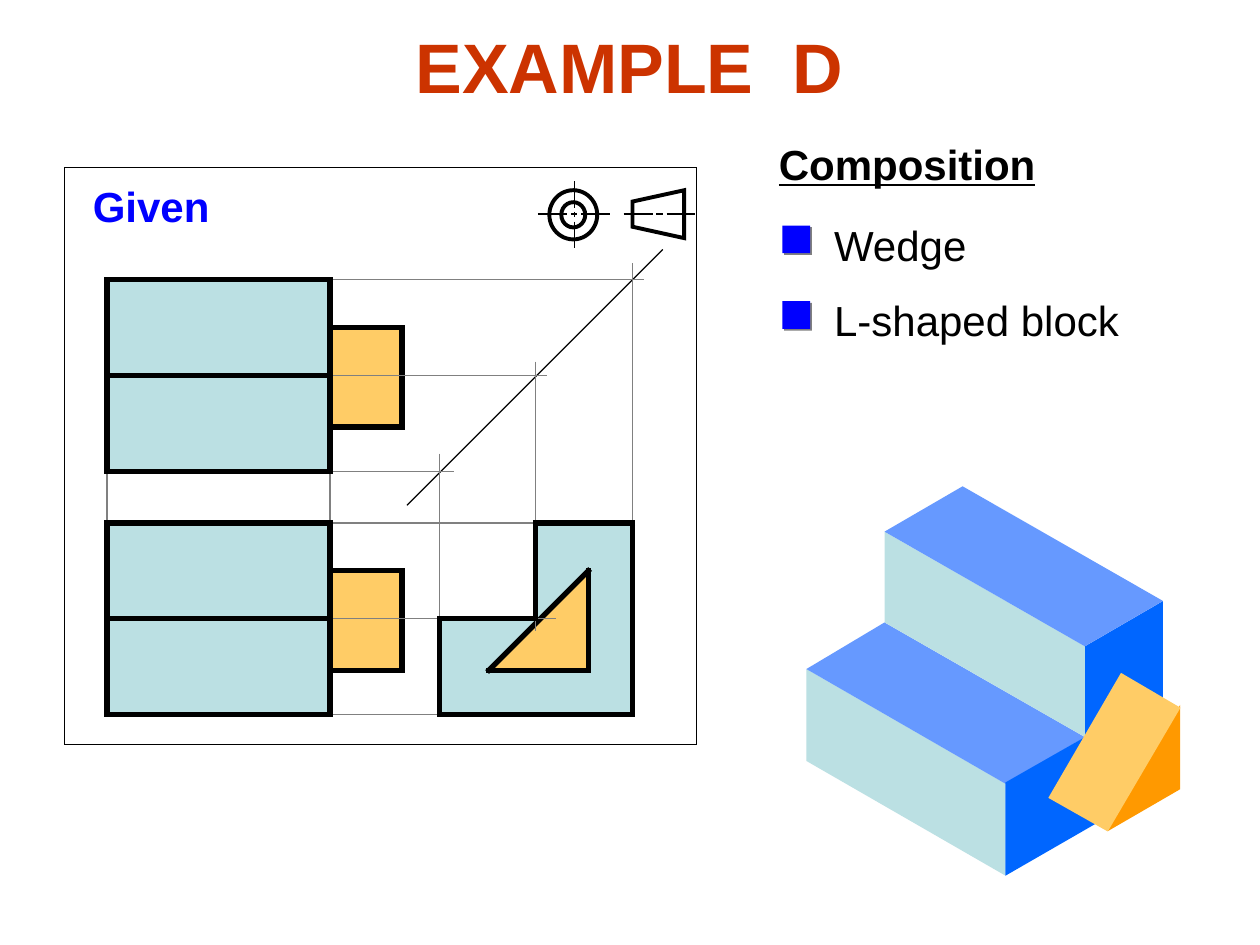
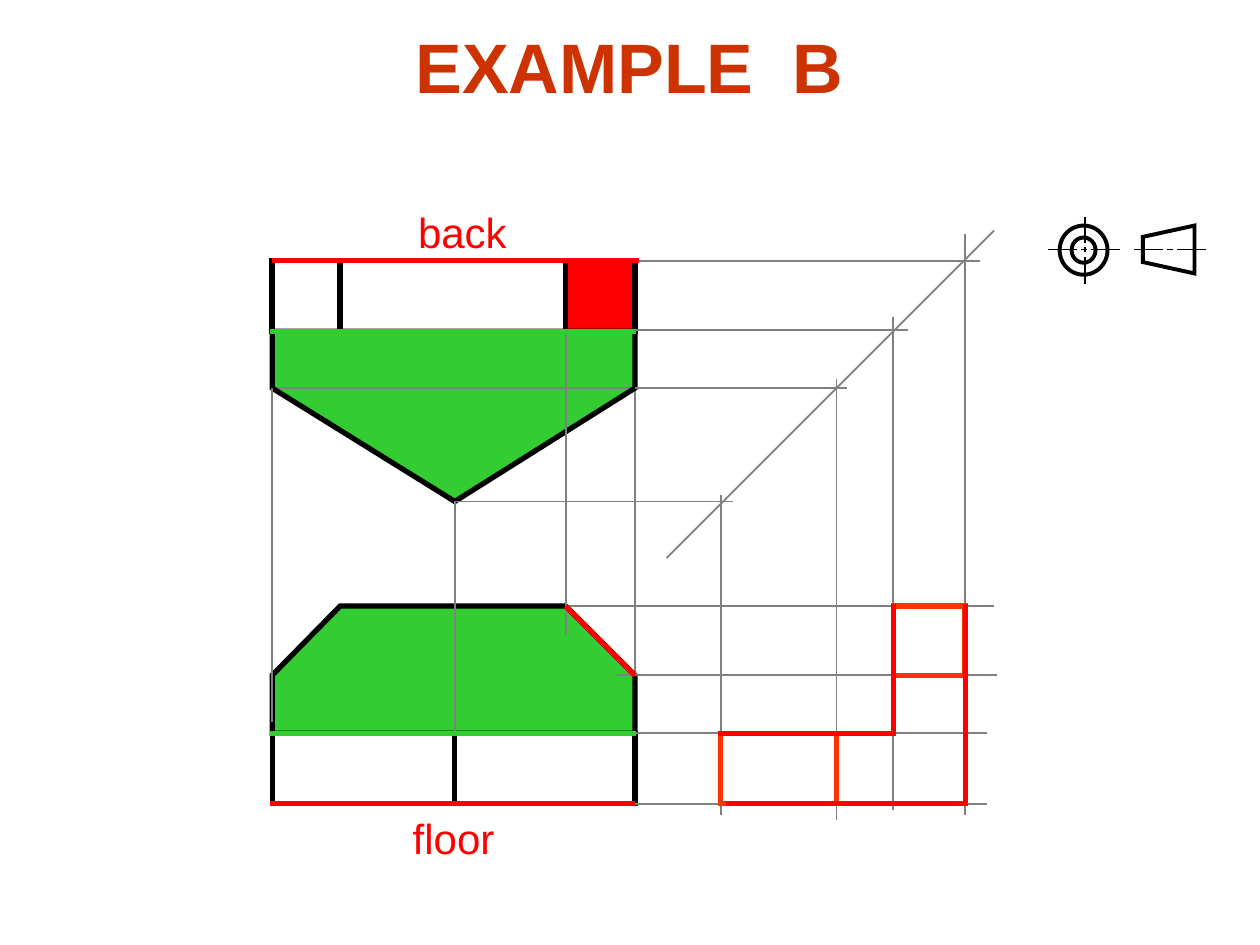
from itertools import pairwise
from math import hypot

from lxml.etree import SubElement
from pptx import Presentation
from pptx.dml.color import RGBColor
from pptx.enum.shapes import MSO_CONNECTOR, MSO_SHAPE
from pptx.enum.text import MSO_ANCHOR, PP_ALIGN
from pptx.oxml.ns import qn
from pptx.util import Inches, Pt

BLACK = RGBColor(0x00, 0x00, 0x00)
WHITE = RGBColor(0xFF, 0xFF, 0xFF)
GRAY = RGBColor(0x80, 0x80, 0x80)
RED = RGBColor(0xFF, 0x00, 0x00)
SCARLET = RGBColor(0xFF, 0x33, 0x00)
RUST = RGBColor(0xCC, 0x33, 0x00)
BLUE = RGBColor(0x00, 0x00, 0xFF)
GREEN = RGBColor(0x33, 0xCC, 0x33)
PALE_BLUE = RGBColor(0xBB, 0xE0, 0xE3)
MID_BLUE = RGBColor(0x66, 0x99, 0xFF)
DEEP_BLUE = RGBColor(0x00, 0x66, 0xFF)
SAND = RGBColor(0xFF, 0xCC, 0x66)
ORANGE = RGBColor(0xFF, 0x99, 0x00)

FONT = "Arial"
THICK, MEDIUM, THIN, HAIR = 3, 2.25, 1, 0.75


# Elements
def paint(shape, fill=None, line=None, width=THICK):
    """Give a shape a plain fill and a mitred outline, or none of either."""
    shape.shadow.inherit = False
    if fill is None:
        shape.fill.background()
    else:
        shape.fill.solid()
        shape.fill.fore_color.rgb = fill
    if line is None:
        shape.line.fill.background()
    else:
        shape.line.color.rgb = line
        shape.line.width = Pt(width)
        outline = shape.element.spPr.find(qn("a:ln"))
        SubElement(outline, qn("a:miter"), lim="800000")
    return shape


def preset(slide, kind, left, top, right, bottom, **style):
    edges = map(Inches, (left, top, right - left, bottom - top))
    return paint(slide.shapes.add_shape(kind, *edges), **style)


def box(slide, left, top, right, bottom, **style):
    return preset(slide, MSO_SHAPE.RECTANGLE, left, top, right, bottom, **style)


def polygon(slide, points, **style):
    first, *rest = [(Inches(x), Inches(y)) for x, y in points]
    builder = slide.shapes.build_freeform(*first, scale=1.0)
    builder.add_line_segments(rest, close=True)
    return paint(builder.convert_to_shape(), **style)


def line(slide, x1, y1, x2, y2, color=GRAY, width=THIN):
    ends = map(Inches, (x1, y1, x2, y2))
    connector = slide.shapes.add_connector(MSO_CONNECTOR.STRAIGHT, *ends)
    connector.line.color.rgb = color
    connector.line.width = Pt(width)
    SubElement(connector.element.spPr, qn("a:effectLst"))


def trace(slide, points, overlap=0.02):
    """Draw thick edges through the points, lengthened to meet at corners."""
    for (x1, y1), (x2, y2) in pairwise(points):
        share = overlap / hypot(x2 - x1, y2 - y1)
        dx, dy = (x2 - x1) * share, (y2 - y1) * share
        line(slide, x1 - dx, y1 - dy, x2 + dx, y2 + dy,
             color=BLACK, width=THICK)


def projectors(slide, horizontals=(), verticals=(), **style):
    """Horizontals are (y, from x, to x); verticals are (x, from y, to y)."""
    for y, start, end in horizontals:
        line(slide, start, y, end, y, **style)
    for x, start, end in verticals:
        line(slide, x, start, x, end, **style)


def style_text(paragraph, size, color, bold=False, underline=False):
    font = paragraph.font
    font.name, font.size = FONT, Pt(size)
    font.bold, font.underline = bold, underline
    font.color.rgb = color


def place(shape, left, top, width, height):
    shape.left, shape.top = Inches(left), Inches(top)
    shape.width, shape.height = Inches(width), Inches(height)


def label(slide, text, center, top, width, color, **style):
    caption = slide.shapes.add_textbox(
        Inches(center - width / 2), Inches(top), Inches(width), Inches(0.5))
    caption.text_frame.word_wrap = True
    paragraph = caption.text_frame.paragraphs[0]
    paragraph.text = text
    paragraph.alignment = PP_ALIGN.CENTER
    style_text(paragraph, 24, color, **style)


def heading(slide, text):
    title = slide.shapes.title
    place(title, 3, 0.14, 3.99, 0.77)
    title.text_frame.text = text
    title.text_frame.vertical_anchor = MSO_ANCHOR.TOP
    paragraph = title.text_frame.paragraphs[0]
    paragraph.alignment = PP_ALIGN.CENTER
    style_text(paragraph, 40, RUST, bold=True)


def parts_list(slide, items, left, top, pitch):
    """A list whose square markers are shadowed shapes beside each item."""
    body = slide.placeholders[1]
    place(body, left + 0.31, top, 2.8, pitch * len(items))
    frame = body.text_frame
    frame.text = "\n".join(items)
    frame.vertical_anchor = MSO_ANCHOR.TOP
    for row, paragraph in enumerate(frame.paragraphs):
        properties = paragraph._p.get_or_add_pPr()
        properties.set("marL", "0")
        properties.set("indent", "0")
        SubElement(properties, qn("a:buNone"))
        paragraph.space_before = Pt(pitch * 72 - 28.8 if row else 0)
        style_text(paragraph, 24, BLACK)

        marker_top = top + 0.1 + row * pitch
        marker = box(slide, left, marker_top, left + 0.22, marker_top + 0.22,
                     fill=BLUE)
        effects = marker.element.spPr.find(qn("a:effectLst"))
        shadow = SubElement(effects, qn("a:outerShdw"), dist=str(Pt(1.4)),
                            dir="2700000", algn="ctr", rotWithShape="0")
        SubElement(shadow, qn("a:srgbClr"), val=str(GRAY))


def projection_symbol(slide, x, y):
    """Third-angle symbol: circles centred on (x, y), cone to the right."""
    ring = preset(slide, MSO_SHAPE.DONUT, x - 0.2, y - 0.19, x + 0.18, y + 0.2,
                  line=BLACK, width=MEDIUM)
    ring.adjustments[0] = 0.25
    cone = [(0.87, -0.19), (0.87, 0.19), (0.46, 0.1), (0.46, -0.1)]
    polygon(slide, [(x + dx, y + dy) for dx, dy in cone],
            line=BLACK, width=MEDIUM)
    # Chain lines: long dash, short dash, long dash
    dashes = [(-0.29, -0.06), (-0.03, 0.02), (0.05, 0.28)]
    rows = [(y, x + shift + start, x + shift + end)
            for shift in (0, 0.68) for start, end in dashes]
    columns = [(x, y + start, y + end)
               for start, end in [(-0.26, -0.05), (-0.02, 0.02), (0.06, 0.27)]]
    projectors(slide, rows, columns, color=BLACK)


# Slide: L-shaped block with a wedge
def given_views(slide):
    left, right, wedge_right = 0.85, 2.62, 3.19
    side = near, step, far = 3.49, 4.25, 5.02
    plan = back, fold, front = 2.22, 2.98, 3.74
    elevation = top, ledge, floor = 4.15, 4.91, 5.67
    wedge_inset, wedge_height = 0.38, 0.79

    # Fills and wedge
    profile = [(near, floor), (far, floor), (far, top), (step, top),
               (step, ledge), (near, ledge)]
    polygon(slide, profile, fill=PALE_BLUE)
    wedge = [(3.88, 5.32), (4.67, 5.32), (4.67, 4.53)]
    polygon(slide, wedge, fill=SAND)
    trace(slide, wedge + wedge[:1])
    for view_top in (back, top):
        wedge_top = view_top + wedge_inset
        wedge_bottom = wedge_top + wedge_height
        box(slide, right, wedge_top, wedge_right, wedge_bottom, fill=SAND)
        trace(slide, [(right, wedge_top), (wedge_right, wedge_top),
                      (wedge_right, wedge_bottom), (right, wedge_bottom)])

    # Projection lines
    line(slide, 3.23, 4.01, 5.26, 1.98, color=BLACK, width=HAIR)
    row_ends = [5.11, 4.34, 3.6, 4.3, 4.41, 4.28]
    projectors(
        slide,
        [(y, right, end) for y, end in zip(plan + elevation, row_ends)],
        [(left, front, top), (right, front, top)]
        + list(zip(side, (3.6, 2.87, 2.09), (5.04, 5.01, 4.38))),
        width=HAIR)

    # Block outlines
    trace(slide, profile + profile[:1])
    for view_top, middle, bottom in (plan, elevation):
        box(slide, left, view_top, right, bottom, fill=PALE_BLUE)
        box(slide, left, view_top, right, bottom, line=BLACK)
        line(slide, left, middle, right, middle, color=BLACK, width=THICK)

    box(slide, 0.51, 1.33, 5.53, 5.91, line=BLACK, width=HAIR)
    label(slide, "Given", 1.2, 1.38, 1.4, BLUE, bold=True)
    projection_symbol(slide, 4.56, 1.7)


def pictorial_view(slide):
    faces = [
        (PALE_BLUE, [(6.4, 6.04), (6.4, 5.31), (7.98, 6.22), (7.98, 6.95)]),
        (MID_BLUE, [(6.4, 5.31), (7.98, 6.22), (8.61, 5.85), (7.02, 4.94)]),
        (DEEP_BLUE, [(7.98, 6.95), (9.23, 6.23), (9.23, 4.77), (8.61, 5.13),
                     (8.61, 5.85), (7.98, 6.21)]),
        (PALE_BLUE, [(8.61, 5.85), (7.02, 4.94), (7.02, 4.22), (8.61, 5.13)]),
        (MID_BLUE, [(7.02, 4.22), (8.61, 5.13), (9.23, 4.77), (7.64, 3.86)]),
    ]
    for color, corners in faces:
        polygon(slide, corners, fill=color)
    wedge_faces = [
        (ORANGE, [(9.36, 5.62), (9.36, 6.26), (8.79, 6.59)]),
        (SAND, [(8.79, 6.59), (8.33, 6.33), (8.9, 5.35), (9.36, 5.62)]),
    ]
    for color, corners in wedge_faces:
        polygon(slide, corners, fill=color, line=color, width=THIN)


# Slide: cut block with the side view added
def cut_block_views(slide):
    left, cut_left, middle, cut_right, right = 2.16, 2.7, 3.61, 4.49, 5.04
    back, ridge, shoulder, tip = 2.07, 2.63, 3.08, 3.98
    top, chamfer, ledge, floor = 4.81, 5.36, 5.82, 6.38
    near, mid, step, far = 5.72, 6.64, 7.09, 7.66

    # Plan and front view
    plan = [(left, ridge), (left, shoulder), (middle, tip),
            (right, shoulder), (right, ridge)]
    elevation = [(left, ledge), (left, chamfer), (cut_left, top),
                 (cut_right, top), (right, chamfer), (right, ledge)]
    for outline in (elevation, plan):
        polygon(slide, outline, fill=GREEN)
    projectors(slide, [(shoulder, left, 5.1)], [(right, ridge, 5.59)])
    box(slide, cut_right, back, right, ridge, fill=RED)
    for start, end in [(left, right), (left, cut_left), (cut_right, right)]:
        box(slide, start, back, end, ridge, line=BLACK)
    polygon(slide, plan, line=BLACK)
    box(slide, left, ledge, right, floor, line=BLACK)
    polygon(slide, elevation, line=BLACK)

    # Projection lines
    line(slide, 5.29, 4.43, 7.89, 1.83)
    projectors(
        slide,
        [(back, right, 7.78), (ridge - 0.01, right, 7.21),
         (shoulder, right, 6.72), (tip, middle, 5.82), (top, cut_right, 7.89),
         (chamfer, 4.9, 7.91), (ledge, right, 7.83), (floor, right, 7.83)],
        [(left, shoulder, ledge - 0.09), (middle, tip, ledge),
         (cut_right, ridge, 5.04), (near, 3.93, 6.47), (mid, 3.01, 6.51),
         (step, 2.52, 6.43), (far, 1.86, 6.47)])
    projectors(slide, verticals=[(middle, ledge, floor)],
               color=BLACK, width=THICK)

    # Side view and highlighted edges
    box(slide, step, top, far, chamfer, line=SCARLET)
    box(slide, near, ledge, mid, floor, fill=WHITE, line=SCARLET)
    line(slide, cut_right, top, right, chamfer, color=RED, width=THICK)
    projectors(slide, [(y, left - 0.02, right + 0.01) for y in (ridge, ledge)],
               color=GREEN, width=THICK)
    projectors(
        slide,
        [(back, left, right + 0.03), (ledge, near - 0.02, step + 0.02),
         (floor, left - 0.02, right), (floor, near + 0.04, far + 0.02)],
        [(step, top - 0.02, ledge), (far, top - 0.02, floor)],
        color=RED, width=THICK)

    label(slide, "floor", 3.6, 6.4, 1.2, RED)
    label(slide, "back", 3.67, 1.59, 1.2, RED)
    projection_symbol(slide, 8.61, 1.98)


def main():
    deck = Presentation()
    deck.slide_width, deck.slide_height = Inches(10), Inches(7.5)
    list_layout, title_layout = deck.slide_layouts[1], deck.slide_layouts[5]

    wedge_slide = deck.slides.add_slide(list_layout)
    heading(wedge_slide, "EXAMPLE  D")
    given_views(wedge_slide)
    label(wedge_slide, "Composition", 7.2, 1.05, 2.5, BLACK,
          bold=True, underline=True)
    parts_list(wedge_slide, ["Wedge", "L-shaped block"], 6.21, 1.69, 0.6)
    pictorial_view(wedge_slide)

    cut_slide = deck.slides.add_slide(title_layout)
    heading(cut_slide, "EXAMPLE  B")
    cut_block_views(cut_slide)

    deck.save("out.pptx")


if __name__ == "__main__":
    main()
